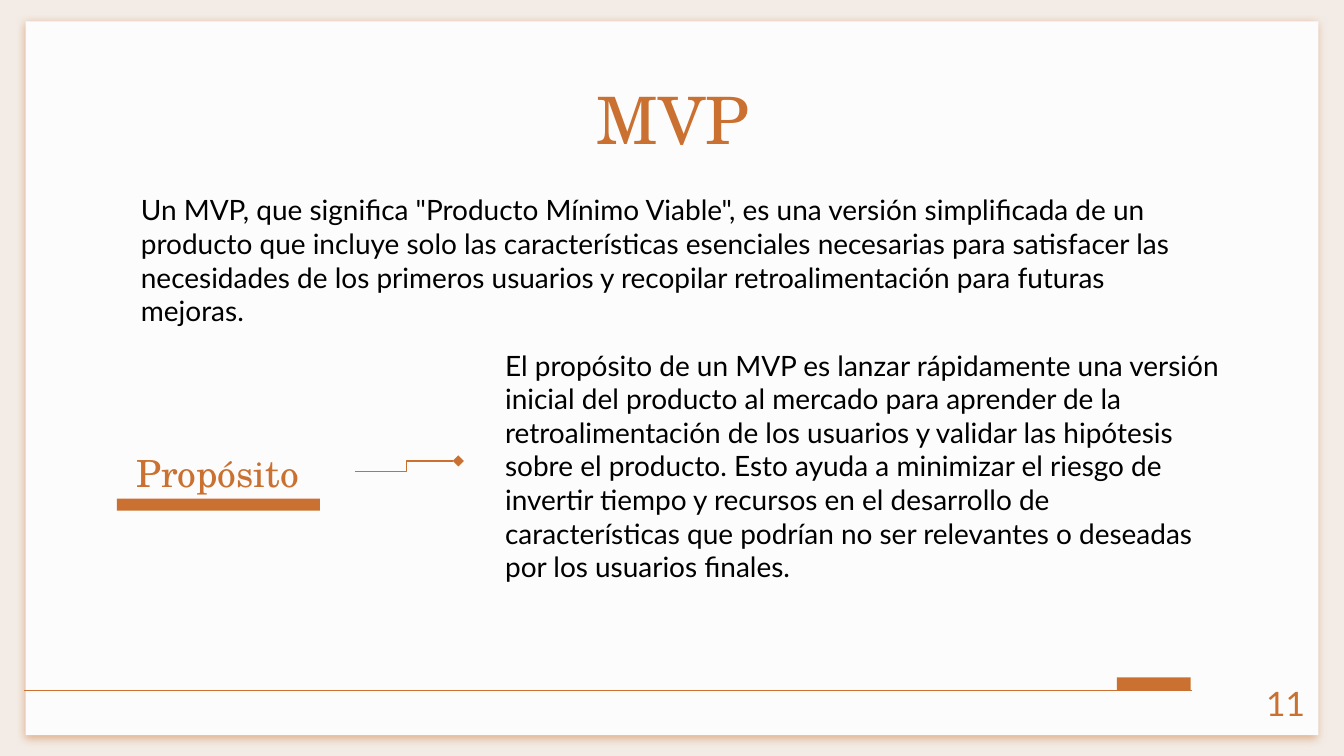
"""Builds the MVP slide: definition, purpose and page number on a card."""
from dataclasses import dataclass

from lxml import etree
from pptx import Presentation
from pptx.dml.color import RGBColor as RGB
from pptx.enum.shapes import MSO_CONNECTOR as LINK, MSO_SHAPE as SHAPE
from pptx.enum.text import MSO_ANCHOR as ANCHOR, PP_ALIGN as ALIGN
from pptx.oxml.ns import qn
from pptx.util import Inches, Pt


@dataclass(frozen=True)
class Theme:
    back: RGB = RGB(0xF3, 0xEC, 0xE6)
    card: RGB = RGB(0xFC, 0xFC, 0xFC)
    main: RGB = RGB(0xCA, 0x71, 0x31)
    ink: RGB = RGB(0, 0, 0)
    serif: str = "TeX Gyre Schola"
    sans: str = "Lato"
    title: int = 35
    head: int = 20
    page: int = 18
    body: int = 15
    rule: float = 0.75


theme = Theme()
deck = Presentation()
deck.slide_width = Inches(10)
deck.slide_height = Inches(10) * 9 // 16
slide = deck.slides.add_slide(deck.slide_layouts[6])
slide.background.fill.solid()
slide.background.fill.fore_color.rgb = theme.back
shapes = slide.shapes

blocks = [
    ((0.19, 0.16, 9.62, 5.31), theme.card),
    ((8.31, 5.04, 0.55, 0.1), theme.main),
    ((0.87, 3.71, 1.51, 0.09), theme.main),
]
rects = []
for area, color in blocks:
    rect = shapes.add_shape(SHAPE.RECTANGLE, *map(Inches, area))
    rect.shadow.inherit = False
    rect.fill.solid()
    rect.fill.fore_color.rgb = color
    rect.line.fill.background()
    rects.append(rect)

glow = etree.SubElement(
    rects[0].element.spPr.find(qn("a:effectLst")), qn("a:outerShdw"),
    blurRad=str(Pt(4.5)), dist=str(Pt(1.5)), dir="5400000",
    algn="bl", rotWithShape="0")
tint = etree.SubElement(glow, qn("a:srgbClr"), val=str(theme.main))
etree.SubElement(tint, qn("a:alpha"), val="50000")

links = [
    (LINK.STRAIGHT, (8.87, 5.14, 0.18, 5.14), None),
    (LINK.ELBOW, (2.64, 3.51, 3.41, 3.43), "diamond"),
]
for kind, ends, tip in links:
    link = shapes.add_connector(kind, *map(Inches, ends))
    link.line.color.rgb = theme.main
    link.line.width = Pt(theme.rule)
    if tip:
        etree.SubElement(link.line._get_or_add_ln(), qn("a:tailEnd"), type=tip)
    etree.SubElement(link._element.spPr, qn("a:effectLst"))

about = (
    'Un MVP, que significa "Producto Mínimo Viable", es una versión '
    "simplificada de un producto que incluye solo las características "
    "esenciales necesarias para satisfacer las necesidades de los primeros "
    "usuarios y recopilar retroalimentación para futuras mejoras.")
goal = (
    "El propósito de un MVP es lanzar rápidamente una versión inicial del "
    "producto al mercado para aprender de la retroalimentación de los "
    "usuarios y validar las hipótesis sobre el producto. Esto ayuda a "
    "minimizar el riesgo de invertir tiempo y recursos en el desarrollo de "
    "características que podrían no ser relevantes o deseadas por los "
    "usuarios finales.")
texts = [
    ("MVP", (0.79, 0.49, 8.43, 0.63), theme.serif, theme.title,
     theme.main, ALIGN.CENTER, ANCHOR.TOP),
    ("Propósito", (0.67, 3.23, 1.9, 0.57), theme.serif, theme.head,
     theme.main, ALIGN.CENTER, ANCHOR.MIDDLE),
    (about, (0.95, 1.34, 8.09, 1.19), theme.sans, theme.body,
     theme.ink, ALIGN.LEFT, ANCHOR.MIDDLE),
    (goal, (3.66, 3.18, 5.55, 0.57), theme.sans, theme.body,
     theme.ink, ALIGN.LEFT, ANCHOR.MIDDLE),
    ("11", (9.21, 4.98, 0.6, 0.43), theme.sans, theme.page,
     theme.main, ALIGN.RIGHT, ANCHOR.TOP),
]
for words, area, face, size, color, align, anchor in texts:
    frame = shapes.add_textbox(*map(Inches, area)).text_frame
    frame.word_wrap = True
    frame.vertical_anchor = anchor
    frame.margin_left = frame.margin_right = Inches(0.1)
    frame.margin_top = frame.margin_bottom = Inches(0.1)
    para = frame.paragraphs[0]
    para.text = words
    para.alignment = align
    para.font.name = face
    para.font.size = Pt(size)
    para.font.color.rgb = color

deck.save("out.pptx")
